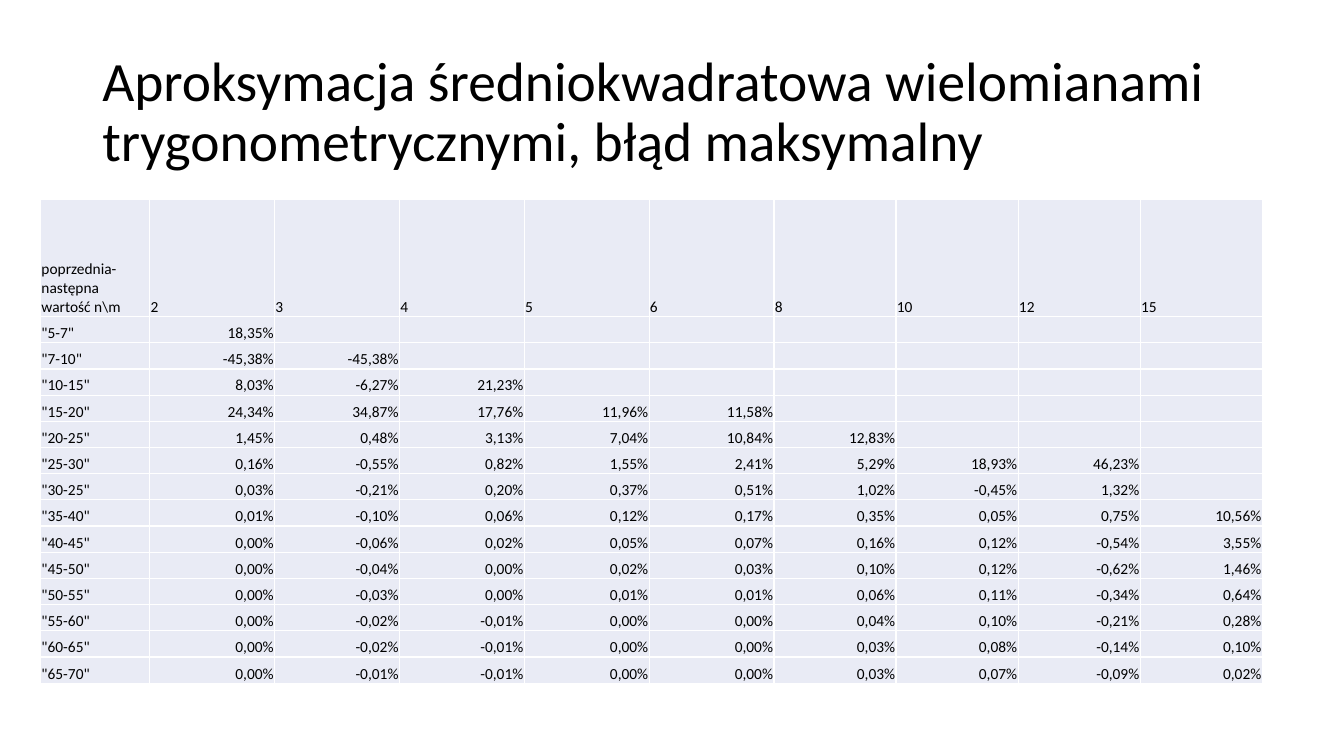
"""Build a slide with a table of maximum errors of trigonometric approximation."""
from lxml.etree import SubElement
from pptx import Presentation
from pptx.dml.color import RGBColor
from pptx.enum.text import MSO_ANCHOR, PP_ALIGN
from pptx.oxml.ns import qn
from pptx.util import Pt

TITLE = "Aproksymacja średniokwadratowa wielomianami trygonometrycznymi, błąd maksymalny"
HEADER = ["poprzednia-następna wartość n\\m", "2", "3", "4", "5", "6", "8", "10", "12", "15"]
ERRORS = {
    "5-7": "18,35%",
    "7-10": "-45,38% -45,38%",
    "10-15": "8,03% -6,27% 21,23%",
    "15-20": "24,34% 34,87% 17,76% 11,96% 11,58%",
    "20-25": "1,45% 0,48% 3,13% 7,04% 10,84% 12,83%",
    "25-30": "0,16% -0,55% 0,82% 1,55% 2,41% 5,29% 18,93% 46,23%",
    "30-25": "0,03% -0,21% 0,20% 0,37% 0,51% 1,02% -0,45% 1,32%",
    "35-40": "0,01% -0,10% 0,06% 0,12% 0,17% 0,35% 0,05% 0,75% 10,56%",
    "40-45": "0,00% -0,06% 0,02% 0,05% 0,07% 0,16% 0,12% -0,54% 3,55%",
    "45-50": "0,00% -0,04% 0,00% 0,02% 0,03% 0,10% 0,12% -0,62% 1,46%",
    "50-55": "0,00% -0,03% 0,00% 0,01% 0,01% 0,06% 0,11% -0,34% 0,64%",
    "55-60": "0,00% -0,02% -0,01% 0,00% 0,00% 0,04% 0,10% -0,21% 0,28%",
    "60-65": "0,00% -0,02% -0,01% 0,00% 0,00% 0,03% 0,08% -0,14% 0,10%",
    "65-70": "0,00% -0,01% -0,01% 0,00% 0,00% 0,03% 0,07% -0,09% 0,02%",
}
THEME = {"font": "Calibri", "text": "000000", "cell": "E9EBF5", "border": "FFFFFF",
         "title_size": 39.6, "cell_size": 11}
COL_WIDTHS = [78] + [89.2] * 5 + [87.2] * 4
ROW_HEIGHTS = [83.4] + [18.72] * len(ERRORS)


def write(tf, text, size, align=PP_ALIGN.LEFT, spacing=None):
    """Write one formatted paragraph into a text frame."""
    p = tf.paragraphs[0]
    p.alignment = align
    p.line_spacing = spacing
    if not text:
        SubElement(p._p, qn("a:endParaRPr"), sz=str(size * 100))
        return
    r = p.add_run()
    r.text = text
    r.font.name = THEME["font"]
    r.font.size = Pt(size)
    r.font.color.rgb = RGBColor.from_string(THEME["text"])


def style_cell(cell):
    """Give a cell its borders, fill, margins and anchor."""
    tc_pr = cell._tc.get_or_add_tcPr()
    for side in ("lnL", "lnR", "lnT", "lnB"):
        ln = SubElement(tc_pr, qn(f"a:{side}"), w=str(Pt(1)))
        SubElement(SubElement(ln, qn("a:solidFill")), qn("a:srgbClr"), val=THEME["border"])
    cell.fill.solid()
    cell.fill.fore_color.rgb = RGBColor.from_string(THEME["cell"])
    cell.margin_left = cell.margin_right = cell.margin_top = Pt(0.6)
    cell.margin_bottom = Pt(0)
    cell.vertical_anchor = MSO_ANCHOR.BOTTOM


def add_title(s):
    """Add the slide title."""
    tf = s.shapes.add_textbox(Pt(66), Pt(28.8), Pt(828), Pt(104.4)).text_frame
    tf.word_wrap = True
    tf.vertical_anchor = MSO_ANCHOR.MIDDLE
    write(tf, TITLE, THEME["title_size"], spacing=0.9)


def add_error_table(s):
    """Add the table of errors, one row per pair of n values."""
    rows = [HEADER] + [[f'"{pair}"'] + values.split() for pair, values in ERRORS.items()]
    table = s.shapes.add_table(len(rows), len(HEADER), Pt(29), Pt(142.7),
                               Pt(sum(COL_WIDTHS)), Pt(sum(ROW_HEIGHTS))).table
    table.first_row = table.horz_banding = False
    for col, width in zip(table.columns, COL_WIDTHS):
        col.width = Pt(width)
    for i, (row, height) in enumerate(zip(rows, ROW_HEIGHTS)):
        table.rows[i].height = Pt(height)
        for j in range(len(HEADER)):
            cell = table.cell(i, j)
            style_cell(cell)
            write(cell.text_frame, row[j] if j < len(row) else "", THEME["cell_size"],
                  align=PP_ALIGN.RIGHT if i and j else PP_ALIGN.LEFT)


def main():
    """Create and save the presentation."""
    prs = Presentation()
    prs.slide_width, prs.slide_height = Pt(960), Pt(540)
    s = prs.slides.add_slide(prs.slide_layouts[6])
    add_title(s)
    add_error_table(s)
    prs.save("out.pptx")


if __name__ == "__main__":
    main()
